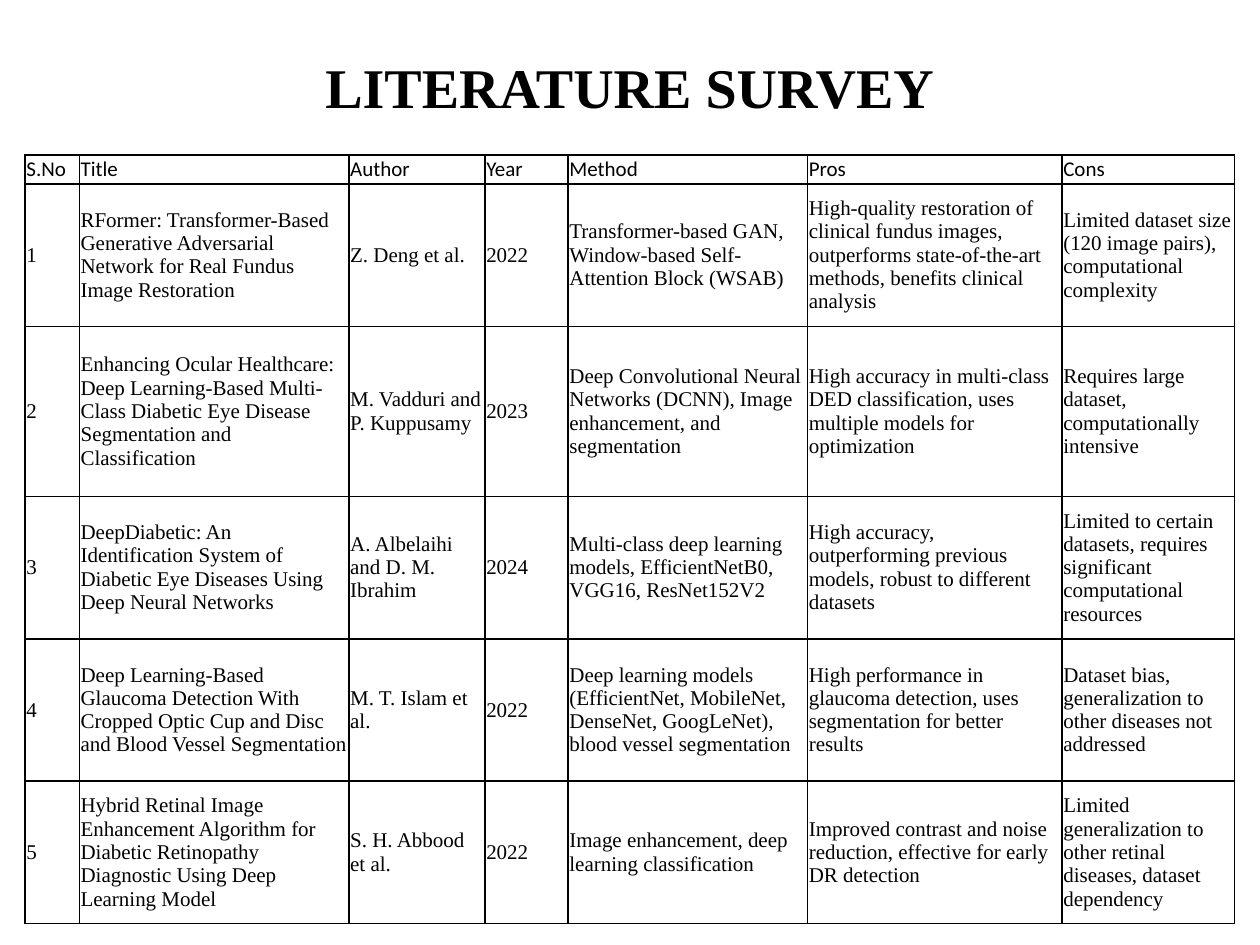
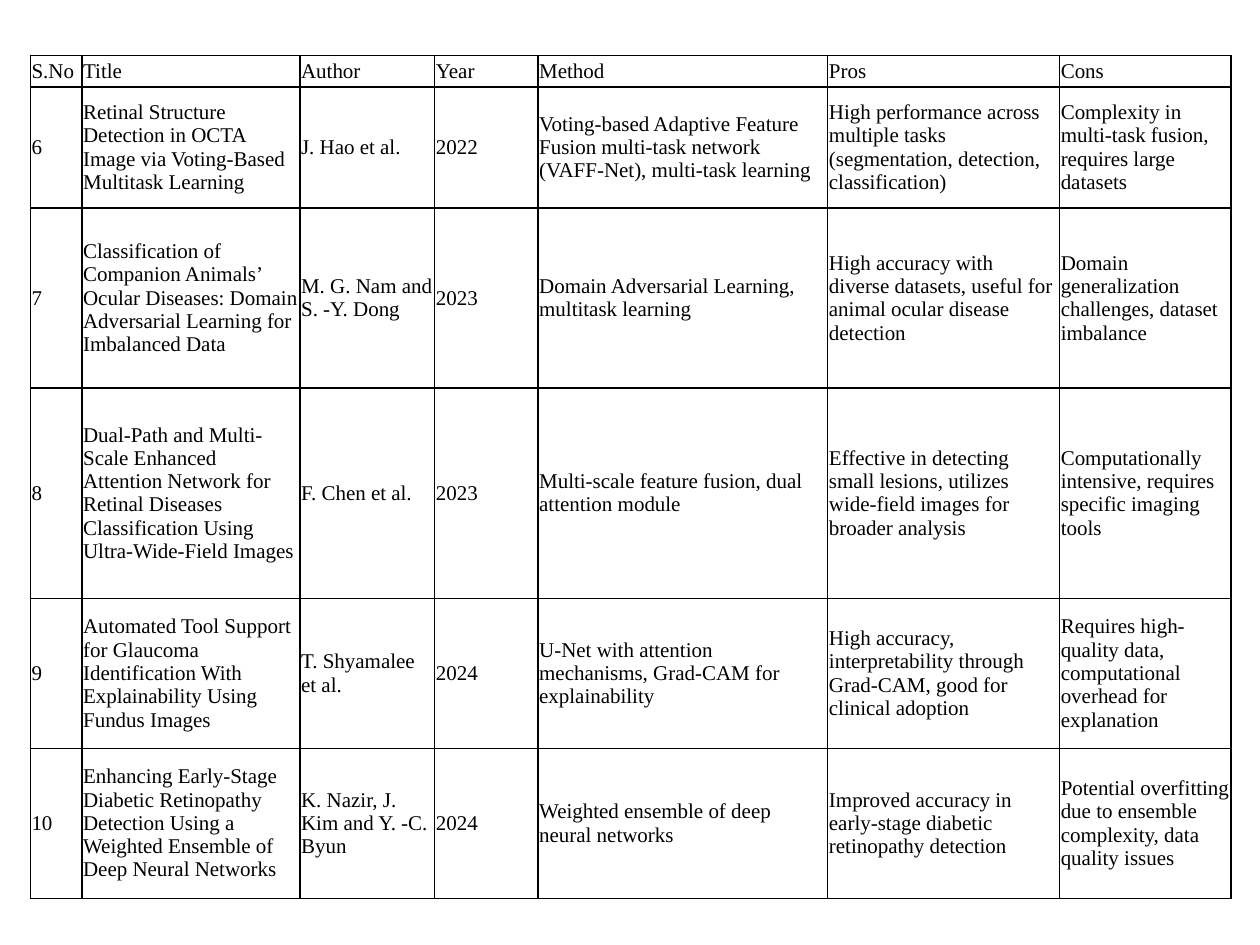
from lxml import etree
from pptx import Presentation
from pptx.dml.color import RGBColor
from pptx.enum.text import MSO_ANCHOR, PP_ALIGN
from pptx.oxml.ns import qn
from pptx.util import Inches, Pt

BLACK = RGBColor(0x00, 0x00, 0x00)
SERIF = "Times New Roman"
SANS = "Calibri"
MIDDLE = MSO_ANCHOR.MIDDLE
LEFT = PP_ALIGN.LEFT
CENTER = PP_ALIGN.CENTER
BLANK_LAYOUT = 6
CELL_MARGIN = Inches(0.01)
BORDER_WIDTH = Pt(1)
BORDER_SIDES = ("a:lnL", "a:lnR", "a:lnT", "a:lnB")

HEADINGS = ("S.No", "Title", "Author", "Year", "Method", "Pros", "Cons")

FIRST_PAPERS = [
    ("RFormer: Transformer-Based Generative Adversarial Network for Real Fundus Image Restoration",
     "Z. Deng et al.", "2022",
     "Transformer-based GAN, Window-based Self-Attention Block (WSAB)",
     "High-quality restoration of clinical fundus images, outperforms state-of-the-art methods, "
     "benefits clinical analysis",
     "Limited dataset size (120 image pairs), computational complexity"),
    ("Enhancing Ocular Healthcare: Deep Learning-Based Multi-Class Diabetic Eye Disease "
     "Segmentation and Classification",
     "M. Vadduri and P. Kuppusamy", "2023",
     "Deep Convolutional Neural Networks (DCNN), Image enhancement, and segmentation",
     "High accuracy in multi-class DED classification, uses multiple models for optimization",
     "Requires large dataset, computationally intensive"),
    ("DeepDiabetic: An Identification System of Diabetic Eye Diseases Using Deep Neural Networks",
     "A. Albelaihi and D. M. Ibrahim", "2024",
     "Multi-class deep learning models, EfficientNetB0, VGG16, ResNet152V2",
     "High accuracy, outperforming previous models, robust to different datasets",
     "Limited to certain datasets, requires significant computational resources"),
    ("Deep Learning-Based Glaucoma Detection With Cropped Optic Cup and Disc and Blood Vessel "
     "Segmentation",
     "M. T. Islam et al.", "2022",
     "Deep learning models (EfficientNet, MobileNet, DenseNet, GoogLeNet), blood vessel "
     "segmentation",
     "High performance in glaucoma detection, uses segmentation for better results",
     "Dataset bias, generalization to other diseases not addressed"),
    ("Hybrid Retinal Image Enhancement Algorithm for Diabetic Retinopathy Diagnostic Using Deep "
     "Learning Model",
     "S. H. Abbood et al.", "2022",
     "Image enhancement, deep learning classification",
     "Improved contrast and noise reduction, effective for early DR detection",
     "Limited generalization to other retinal diseases, dataset dependency"),
]

SECOND_PAPERS = [
    ("Retinal Structure Detection in OCTA Image via Voting-Based Multitask Learning",
     "J. Hao et al.", "2022",
     "Voting-based Adaptive Feature Fusion multi-task network (VAFF-Net), multi-task learning",
     "High performance across multiple tasks (segmentation, detection, classification)",
     "Complexity in multi-task fusion, requires large datasets"),
    ("Classification of Companion Animals’ Ocular Diseases: Domain Adversarial Learning for "
     "Imbalanced Data",
     "M. G. Nam and S. -Y. Dong", "2023",
     "Domain Adversarial Learning, multitask learning",
     "High accuracy with diverse datasets, useful for animal ocular disease detection",
     "Domain generalization challenges, dataset imbalance"),
    ("Dual-Path and Multi-Scale Enhanced Attention Network for Retinal Diseases Classification "
     "Using Ultra-Wide-Field Images",
     "F. Chen et al.", "2023",
     "Multi-scale feature fusion, dual attention module",
     "Effective in detecting small lesions, utilizes wide-field images for broader analysis",
     "Computationally intensive, requires specific imaging tools"),
    ("Automated Tool Support for Glaucoma Identification With Explainability Using Fundus Images",
     "T. Shyamalee et al.", "2024",
     "U-Net with attention mechanisms, Grad-CAM for explainability",
     "High accuracy, interpretability through Grad-CAM, good for clinical adoption",
     "Requires high-quality data, computational overhead for explanation"),
    ("Enhancing Early-Stage Diabetic Retinopathy Detection Using a Weighted Ensemble of Deep "
     "Neural Networks",
     "K. Nazir, J. Kim and Y. -C. Byun", "2024",
     "Weighted ensemble of deep neural networks",
     "Improved accuracy in early-stage diabetic retinopathy detection",
     "Potential overfitting due to ensemble complexity, data quality issues"),
]


def write_text(text_frame, text, *, font=SERIF, size=12, bold=False, align=LEFT):
    text_frame.word_wrap = True
    paragraph = text_frame.paragraphs[0]
    paragraph.alignment = align
    run = paragraph.add_run()
    run.text = text
    run.font.name = font
    run.font.size = Pt(size)
    run.font.bold = bold
    run.font.color.rgb = BLACK


def add_title(slide, text):
    box = slide.shapes.add_textbox(Inches(0.5), Inches(0.3), Inches(9), Inches(0.77))
    box.text_frame.vertical_anchor = MIDDLE
    write_text(box.text_frame, text, size=32, bold=True, align=CENTER)


def add_borders(cell):
    properties = cell._tc.get_or_add_tcPr()
    for side in BORDER_SIDES:
        line = etree.SubElement(properties, qn(side), w=str(BORDER_WIDTH))
        fill = etree.SubElement(line, qn("a:solidFill"))
        etree.SubElement(fill, qn("a:srgbClr"), val=str(BLACK))


def format_cell(cell, text, font):
    cell.margin_left = cell.margin_right = CELL_MARGIN
    cell.margin_top = cell.margin_bottom = CELL_MARGIN
    cell.vertical_anchor = MIDDLE
    add_borders(cell)
    cell.fill.background()
    write_text(cell.text_frame, text, font=font)


def add_survey_table(slide, papers, *, left, top, widths, heights, first_number,
                     heading_font=SERIF):
    """Add a bordered table of papers, numbered from first_number, under the headings."""
    numbered = [(str(number), *paper) for number, paper in enumerate(papers, first_number)]
    table = slide.shapes.add_table(
        len(heights), len(widths), Inches(left), Inches(top),
        Inches(sum(widths)), Inches(sum(heights))).table
    table.horz_banding = False
    table.first_row = False
    for column, width in zip(table.columns, widths):
        column.width = Inches(width)
    for row, height in zip(table.rows, heights):
        row.height = Inches(height)
    for row_index, values in enumerate([HEADINGS, *numbered]):
        font = SERIF if row_index else heading_font
        for column_index, value in enumerate(values):
            format_cell(table.cell(row_index, column_index), value, font)


def main():
    presentation = Presentation()
    presentation.slide_width = Inches(10)
    presentation.slide_height = Inches(7.5)
    layout = presentation.slide_layouts[BLANK_LAYOUT]

    slide = presentation.slides.add_slide(layout)
    add_title(slide, "LITERATURE SURVEY")
    add_survey_table(slide, FIRST_PAPERS, left=0.2, top=1.23,
                     widths=(0.43, 2.14, 1.08, 0.66, 1.9, 2.02, 1.37),
                     heights=(0.23, 1.13, 1.35, 1.13, 1.13, 1.13),
                     first_number=1, heading_font=SANS)

    slide = presentation.slides.add_slide(layout)
    add_survey_table(slide, SECOND_PAPERS, left=0.24, top=0.44,
                     widths=(0.41, 1.73, 1.07, 0.82, 2.3, 1.84, 1.36),
                     heights=(0.25, 0.96, 1.43, 1.67, 1.19, 1.19),
                     first_number=6)

    presentation.save("out.pptx")


if __name__ == "__main__":
    main()
